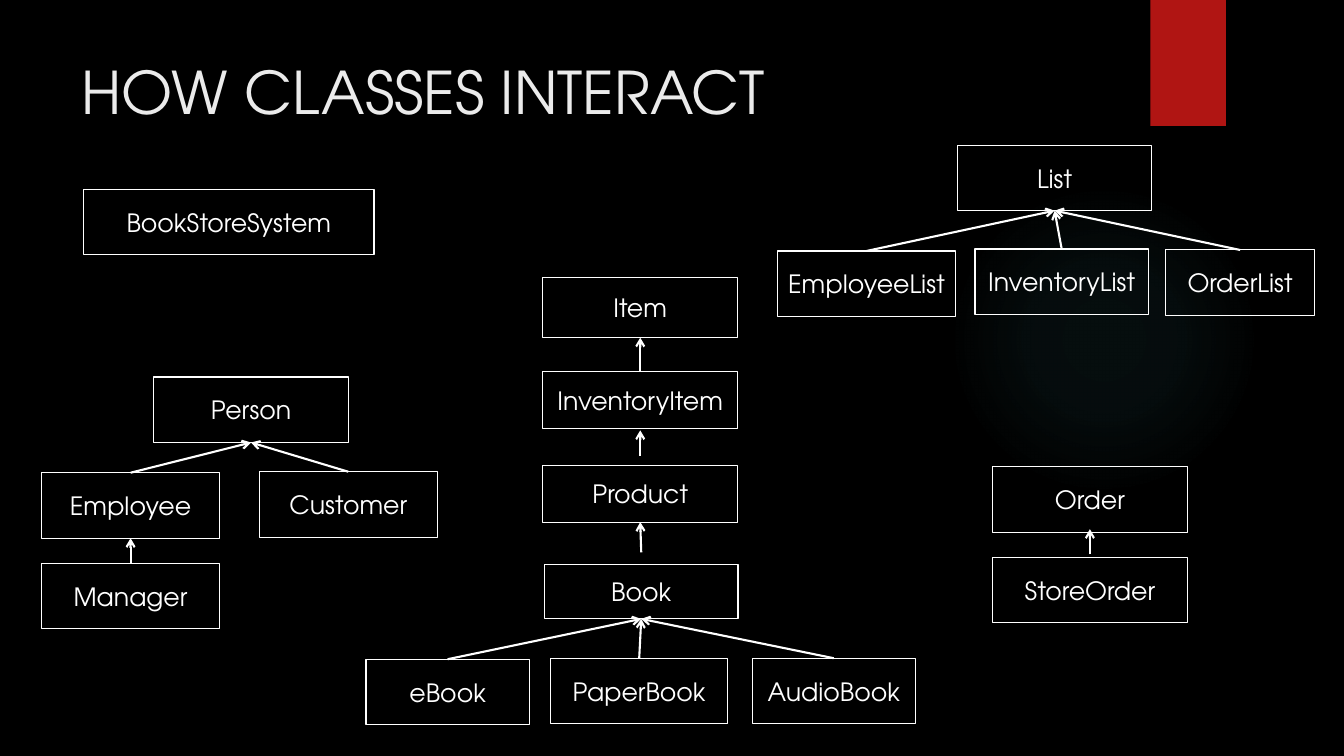
from lxml.etree import SubElement
from pptx import Presentation
from pptx.dml.color import RGBColor
from pptx.enum.shapes import MSO_CONNECTOR, MSO_SHAPE
from pptx.enum.text import MSO_ANCHOR, PP_ALIGN
from pptx.oxml import parse_xml
from pptx.oxml.ns import nsdecls, qn
from pptx.util import Inches, Pt

FONT = "TeX Gyre Adventor"
WHITE = "FFFFFF"

CLASSES = {
    "Item": (5.38, 2.75, 1.94, 0.6),
    "InventoryItem": (5.38, 3.69, 1.94, 0.56),
    "Product": (5.38, 4.62, 1.94, 0.56),
    "Book": (5.4, 5.6, 1.92, 0.54),
    "eBook": (3.63, 6.54, 1.62, 0.65),
    "PaperBook": (5.46, 6.53, 1.76, 0.65),
    "AudioBook": (7.46, 6.53, 1.62, 0.65),
    "Person": (1.52, 3.74, 1.94, 0.65),
    "Employee": (0.41, 4.69, 1.77, 0.65),
    "Manager": (0.41, 5.59, 1.77, 0.65),
    "Customer": (2.57, 4.68, 1.77, 0.65),
    "Order": (9.84, 4.63, 1.94, 0.65),
    "StoreOrder": (9.84, 5.53, 1.94, 0.65),
    "List": (9.5, 1.44, 1.92, 0.65),
    "EmployeeList": (7.71, 2.49, 1.77, 0.65),
    "InventoryList": (9.67, 2.47, 1.72, 0.65),
    "OrderList": (11.56, 2.48, 1.48, 0.65),
    "BookStoreSystem": (0.83, 1.88, 2.88, 0.65),
}
PARENTS = {
    "InventoryItem": "Item",
    "Product": "InventoryItem",
    "Book": "Product",
    "eBook": "Book",
    "PaperBook": "Book",
    "AudioBook": "Book",
    "Employee": "Person",
    "Customer": "Person",
    "Manager": "Employee",
    "StoreOrder": "Order",
    "EmployeeList": "List",
    "InventoryList": "List",
    "OrderList": "List",
}
START_GAPS = {"Product": 0.1, "Book": 0.12, "StoreOrder": 0.03}
END_GAPS = {"Product": 0.02, "StoreOrder": -0.03}


def color(value):
    """Turn a hex string into a colour."""
    return RGBColor.from_string(value)


def write(box, text, *, size=18, fill=WHITE, align=PP_ALIGN.CENTER,
          anchor=MSO_ANCHOR.MIDDLE, inset=0.0):
    """Put one formatted line of text into a box."""
    frame = box.text_frame
    frame.word_wrap = True
    frame.vertical_anchor = anchor
    frame.margin_left = frame.margin_right = Inches(inset)
    para = frame.paragraphs[0]
    para.alignment = align
    span = para.add_run()
    span.text = text
    span.font.name = FONT
    span.font.size = Pt(size)
    span.font.color.rgb = color(fill)


def add_block(page, place, *, kind=MSO_SHAPE.RECTANGLE, fill=None, line=None):
    """Add a flat preset shape."""
    block = page.shapes.add_shape(kind, *map(Inches, place))
    block.shadow.inherit = False
    if fill:
        block.fill.solid()
        block.fill.fore_color.rgb = color(fill)
    else:
        block.fill.background()
    if line:
        block.line.color.rgb = color(line)
        block.line.width = Pt(0.75)
    else:
        block.line.fill.background()
    return block


def add_glow(page):
    """Add the faint round glow."""
    glow = add_block(page, (9.41, 1.83, 3.08, 3.08), kind=MSO_SHAPE.OVAL)
    stops = "".join(
        f'<a:gs pos="{position * 1000}"><a:srgbClr val="50B9C1">'
        f'<a:alpha val="{opacity * 1000}"/></a:srgbClr></a:gs>'
        for position, opacity in ((0, 7), (36, 6), (69, 0)))
    gradient = parse_xml(
        f'<a:gradFill {nsdecls("a")}><a:gsLst>{stops}</a:gsLst><a:path path="circle">'
        '<a:fillToRect l="50000" t="50000" r="50000" b="50000"/></a:path></a:gradFill>')
    properties = glow._element.spPr
    properties.replace(properties.find(qn("a:noFill")), gradient)


def add_inheritance(page, child, parent):
    """Draw an arrow from the top of a child to the bottom of its parent."""
    left, top, width, _ = CLASSES[child]
    parent_left, parent_top, parent_width, parent_height = CLASSES[parent]
    start = left + width / 2, top - START_GAPS.get(child, 0)
    end = (parent_left + parent_width / 2,
           parent_top + parent_height + END_GAPS.get(child, 0))
    arrow = page.shapes.add_connector(MSO_CONNECTOR.STRAIGHT, *map(Inches, start + end))
    arrow.line.color.rgb = color(WHITE)
    arrow.line.width = Pt(1.5)
    SubElement(arrow.line._get_or_add_ln(), qn("a:tailEnd"), type="arrow")
    SubElement(arrow._element.spPr, qn("a:effectLst"))


def main():
    """Build the class diagram slide."""
    deck = Presentation()
    deck.slide_width, deck.slide_height = Inches(13.33), Inches(7.5)
    page = deck.slides.add_slide(deck.slide_layouts[6])
    page.background.fill.solid()
    page.background.fill.fore_color.rgb = color("000000")

    add_glow(page)
    add_block(page, (11.41, 0, 0.75, 1.25), fill="B01513")
    title = page.shapes.add_textbox(*map(Inches, (0.71, 0.5, 10.29, 1.53)))
    write(title, "HOW CLASSES INTERACT", size=42, fill="EBEBEB",
          align=PP_ALIGN.LEFT, anchor=MSO_ANCHOR.TOP, inset=0.1)

    for name, place in CLASSES.items():
        write(add_block(page, place, line=WHITE), name)
    for child, parent in PARENTS.items():
        add_inheritance(page, child, parent)

    deck.save("out.pptx")


if __name__ == "__main__":
    main()
